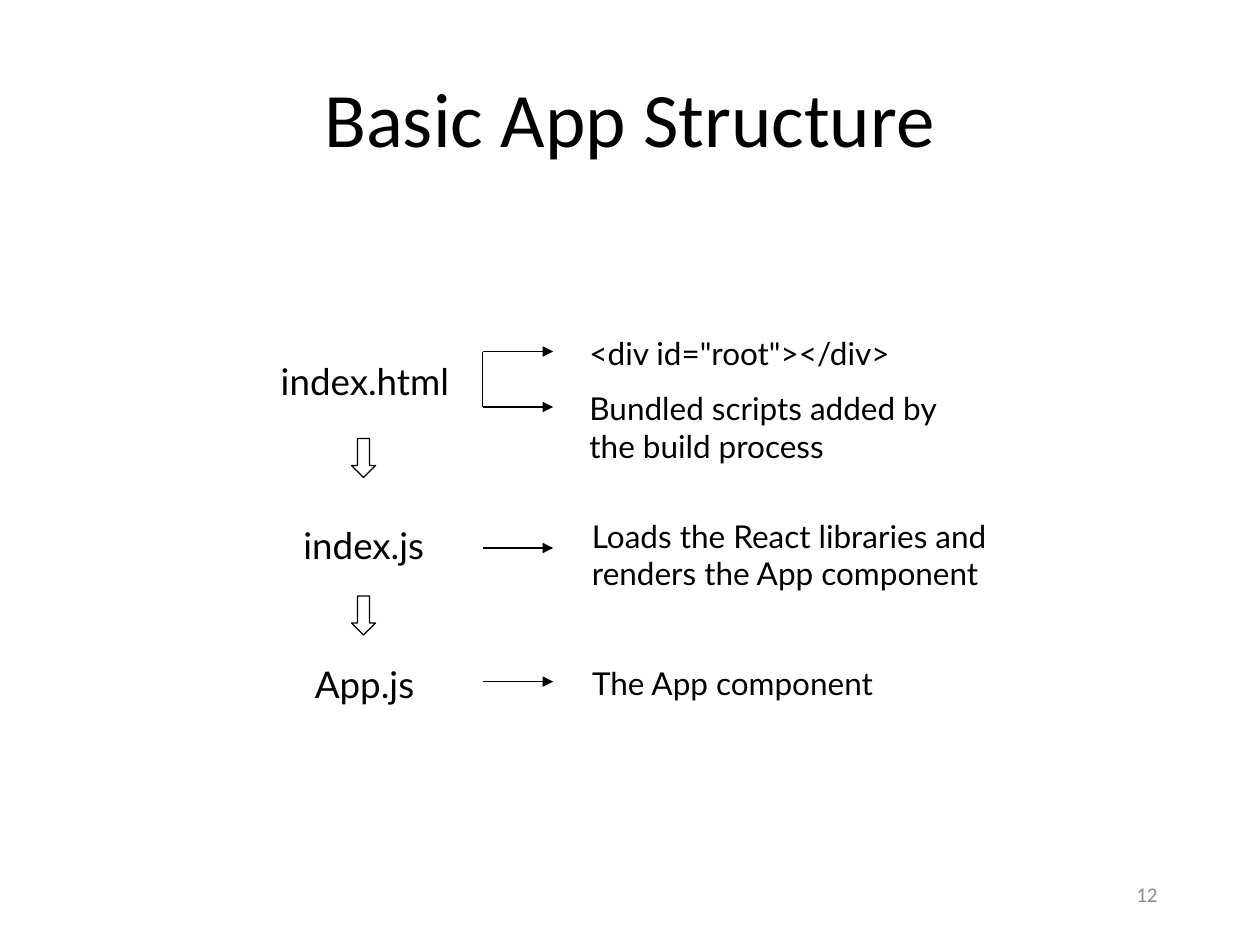
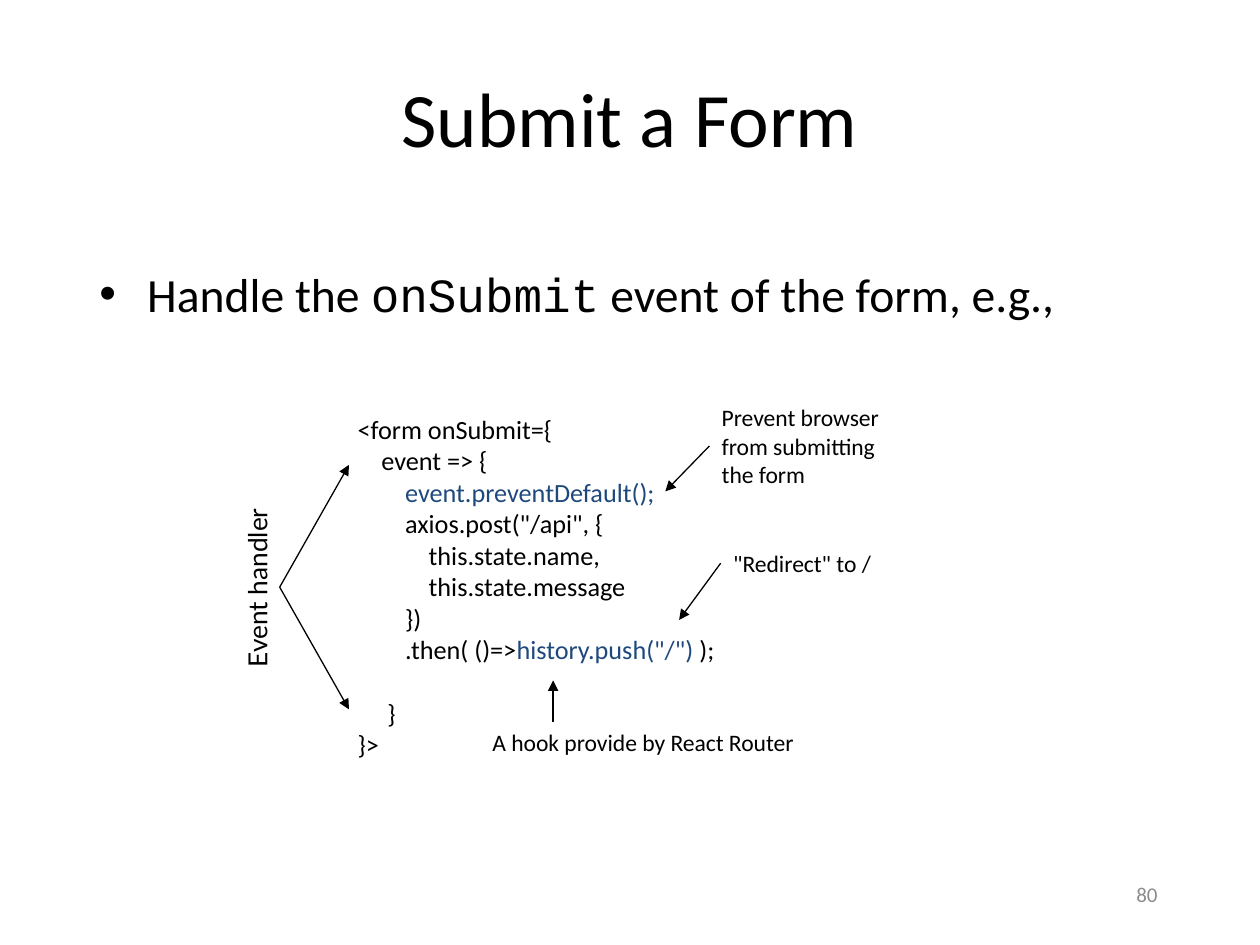
from dataclasses import dataclass
from typing import NamedTuple, Optional

import pptx
import pptx.dml.color
import pptx.enum.shapes
import pptx.enum.text
import pptx.oxml.ns
import pptx.shapes.autoshape
import pptx.slide
import pptx.util
from lxml import etree
from pptx.util import Inches

Slide = pptx.slide.Slide
Shape = pptx.shapes.autoshape.Shape
Align = pptx.enum.text.PP_ALIGN
Anchor = pptx.enum.text.MSO_ANCHOR
RGB = pptx.dml.color.RGBColor
LEFT_SIDE, BOTTOM_SIDE = 1, 2


@dataclass(frozen=True)
class Theme:
    ink: RGB = RGB.from_string("000000")
    accent: RGB = RGB.from_string("1F497D")
    muted: RGB = RGB.from_string("8C8C8C")
    body_font: str = "Calibri"
    label_font: str = "Lato"
    code_font: str = "Courier New"
    title_size: float = 44
    bullet_size: float = 27.2
    file_size: float = 21
    detail_size: float = 18
    code_size: float = 15
    note_size: float = 13.5
    number_size: float = 12
    line_width: float = 0.75


THEME = Theme()


class Area(NamedTuple):
    left: float
    top: float
    width: float
    height: float


class Style(NamedTuple):
    size: float
    font: str = THEME.body_font
    color: RGB = THEME.ink


class Span(NamedTuple):
    text: str
    font: Optional[str] = None
    color: Optional[RGB] = None


class Label(NamedTuple):
    text: str
    area: Area


class Arrow(NamedTuple):
    start: tuple[float, float]
    end: tuple[float, float]
    head: bool = True


TITLE = Style(THEME.title_size)
BULLET = Style(THEME.bullet_size)
FILE = Style(THEME.file_size, THEME.label_font)
DETAIL = Style(THEME.detail_size, THEME.label_font)
CODE = Style(THEME.code_size)
SIDE_LABEL = Style(THEME.code_size, THEME.label_font)
NOTE = Style(THEME.note_size)
NUMBER = Style(THEME.number_size, color=THEME.muted)

TITLE_AREA = Area(0.5, 0.3, 9, 1.25)
NUMBER_AREA = Area(8.92, 6.9, 0.58, 0.4)

FILES = [
    Label("index.html", Area(2.13, 2.8, 1.56, 0.45)),
    Label("index.js", Area(2.31, 4.1, 1.2, 0.45)),
    Label("App.js", Area(2.4, 5.2, 1.01, 0.45)),
]
DETAILS = [
    Label('<div id="root"></div>', Area(4.58, 2.6, 2.8, 0.4)),
    Label("Bundled scripts added by\nthe build process", Area(4.58, 3.04, 3.01, 0.71)),
    Label("Loads the React libraries and\nrenders the App component", Area(4.6, 4.05, 3.43, 0.71)),
    Label("The App component", Area(4.6, 5.22, 2.45, 0.4)),
]
BRANCH_X, DETAIL_X = 3.83, 4.39
DETAIL_ARROW_TOPS = [2.79, 3.23, 4.35, 5.41]
NEXT_FILE_TOPS = [3.48, 4.73]

FORM_CODE = [
    [Span("<form onSubmit={")],
    [Span("    event => {")],
    [Span("        "), Span("event.preventDefault();", color=THEME.accent)],
    [Span('        axios.post("/api", {')],
    [Span("            this.state.name,")],
    [Span("            this.state.message")],
    [Span("        })")],
    [Span("        .then( ()=>"), Span('history.push("/")', color=THEME.accent), Span(" );")],
    [Span("     }")],
    [Span("}>")],
]
HANDLER_END = 8
CODE_LINE_HEIGHT = 18.3

CALLOUTS = [
    (Label("Prevent browser\nfrom submitting\nthe form", Area(5.63, 3.15, 1.47, 0.78)),
     Arrow((5.63, 3.54), (5.28, 3.9))),
    (Label('"Redirect" to /', Area(5.72, 4.31, 1.31, 0.33)),
     Arrow((5.72, 4.47), (5.39, 4.92))),
]


def plain_lines(text: str) -> list[list[Span]]:
    return [[Span(line)] for line in text.split("\n")]


def add_text(page: Slide, area: Area, lines: list[list[Span]], style: Style, *,
             wrap: bool = False, align: Align = Align.LEFT,
             anchor: Anchor = Anchor.TOP, bullet: bool = False) -> Shape:
    box = page.shapes.add_textbox(*map(Inches, area))
    frame = box.text_frame
    frame.word_wrap = wrap
    frame.vertical_anchor = anchor
    for index, spans in enumerate(lines):
        para = frame.add_paragraph() if index else frame.paragraphs[0]
        if bullet:
            add_bullet(para)
        para.alignment = align
        para.font.size = pptx.util.Pt(style.size)
        para.font.name = style.font
        para.font.color.rgb = style.color
        for span in spans:
            run = para.add_run()
            run.text = span.text
            if span.font:
                run.font.name = span.font
            if span.color:
                run.font.color.rgb = span.color
    return box


def add_bullet(para) -> None:
    properties = para._p.get_or_add_pPr()
    properties.set("marL", str(Inches(0.38)))
    properties.set("indent", str(-Inches(0.38)))
    etree.SubElement(properties, pptx.oxml.ns.qn("a:buFont")).set("typeface", "Arial")
    etree.SubElement(properties, pptx.oxml.ns.qn("a:buChar")).set("char", "•")


def add_arrow(page: Slide, arrow: Arrow, source: Optional[Shape] = None, side: int = 0) -> None:
    """Draw a line, joined at its start to a side of source when one is given."""
    line = page.shapes.add_connector(
        pptx.enum.shapes.MSO_CONNECTOR.STRAIGHT, *map(Inches, arrow.start + arrow.end))
    if source is not None:
        line.begin_connect(source, side)
        # The joint is placed as if the box were not rotated.
        line.begin_x, line.begin_y = map(Inches, arrow.start)
    line.line.color.rgb = THEME.ink
    line.line.width = pptx.util.Pt(THEME.line_width)
    if arrow.head:
        stroke = line.line._get_or_add_ln()
        etree.SubElement(stroke, pptx.oxml.ns.qn("a:tailEnd")).set("type", "triangle")
    etree.SubElement(line._element.spPr, pptx.oxml.ns.qn("a:effectLst"))


def add_next_file_arrow(page: Slide, top: float) -> None:
    shape = page.shapes.add_shape(
        pptx.enum.shapes.MSO_SHAPE.DOWN_ARROW, *map(Inches, (2.79, top, 0.19, 0.31)))
    shape.shadow.inherit = False
    shape.fill.background()
    shape.line.color.rgb = THEME.ink
    shape.line.width = pptx.util.Pt(THEME.line_width)


def add_page(deck, title: str, number: int) -> Slide:
    page = deck.slides.add_slide(deck.slide_layouts[6])
    add_text(page, TITLE_AREA, plain_lines(title), TITLE,
             wrap=True, align=Align.CENTER, anchor=Anchor.MIDDLE)
    add_text(page, NUMBER_AREA, plain_lines(str(number)), NUMBER,
             wrap=True, anchor=Anchor.MIDDLE)
    return page


def add_structure_page(deck) -> None:
    page = add_page(deck, "Basic App Structure", 12)
    for labels, style in ((FILES, FILE), (DETAILS, DETAIL)):
        for label in labels:
            add_text(page, label.area, plain_lines(label.text), style)
    for top in DETAIL_ARROW_TOPS:
        add_arrow(page, Arrow((BRANCH_X, top), (DETAIL_X, top)))
    branch_top, branch_bottom = DETAIL_ARROW_TOPS[:2]
    add_arrow(page, Arrow((BRANCH_X, branch_top), (BRANCH_X, branch_bottom), head=False))
    for top in NEXT_FILE_TOPS:
        add_next_file_arrow(page, top)


def add_form_page(deck) -> None:
    page = add_page(deck, "Submit a Form", 80)
    bullet = [Span("Handle the "), Span("onSubmit", font=THEME.code_font),
              Span(" event of the form, e.g.,")]
    add_text(page, Area(0.69, 2.05, 7.83, 0.5), [bullet], BULLET, wrap=True, bullet=True)

    code = add_text(page, Area(2.74, 3.23, 4.28, 2.88), FORM_CODE, CODE, wrap=True)
    code.text_frame.paragraphs[HANDLER_END].space_before = pptx.util.Pt(CODE_LINE_HEIGHT)

    handler = add_text(page, Area(1.3, 4.48, 1.48, 0.35), plain_lines("Event handler"), SIDE_LABEL)
    handler.rotation = 270
    for end_y in (3.69, 5.63):
        add_arrow(page, Arrow((2.22, 4.66), (2.77, end_y)), handler, BOTTOM_SIDE)

    for label, arrow in CALLOUTS:
        box = add_text(page, label.area, plain_lines(label.text), NOTE)
        add_arrow(page, arrow, box, LEFT_SIDE)
    add_text(page, Area(3.81, 5.73, 2.63, 0.33),
             plain_lines("A hook provide by React Router"), NOTE)
    add_arrow(page, Arrow((4.39, 5.73), (4.39, 5.4)))


def main() -> None:
    deck = pptx.Presentation()
    deck.slide_width, deck.slide_height = Inches(10), Inches(7.5)
    add_structure_page(deck)
    add_form_page(deck)
    deck.save("out.pptx")


if __name__ == "__main__":
    main()
